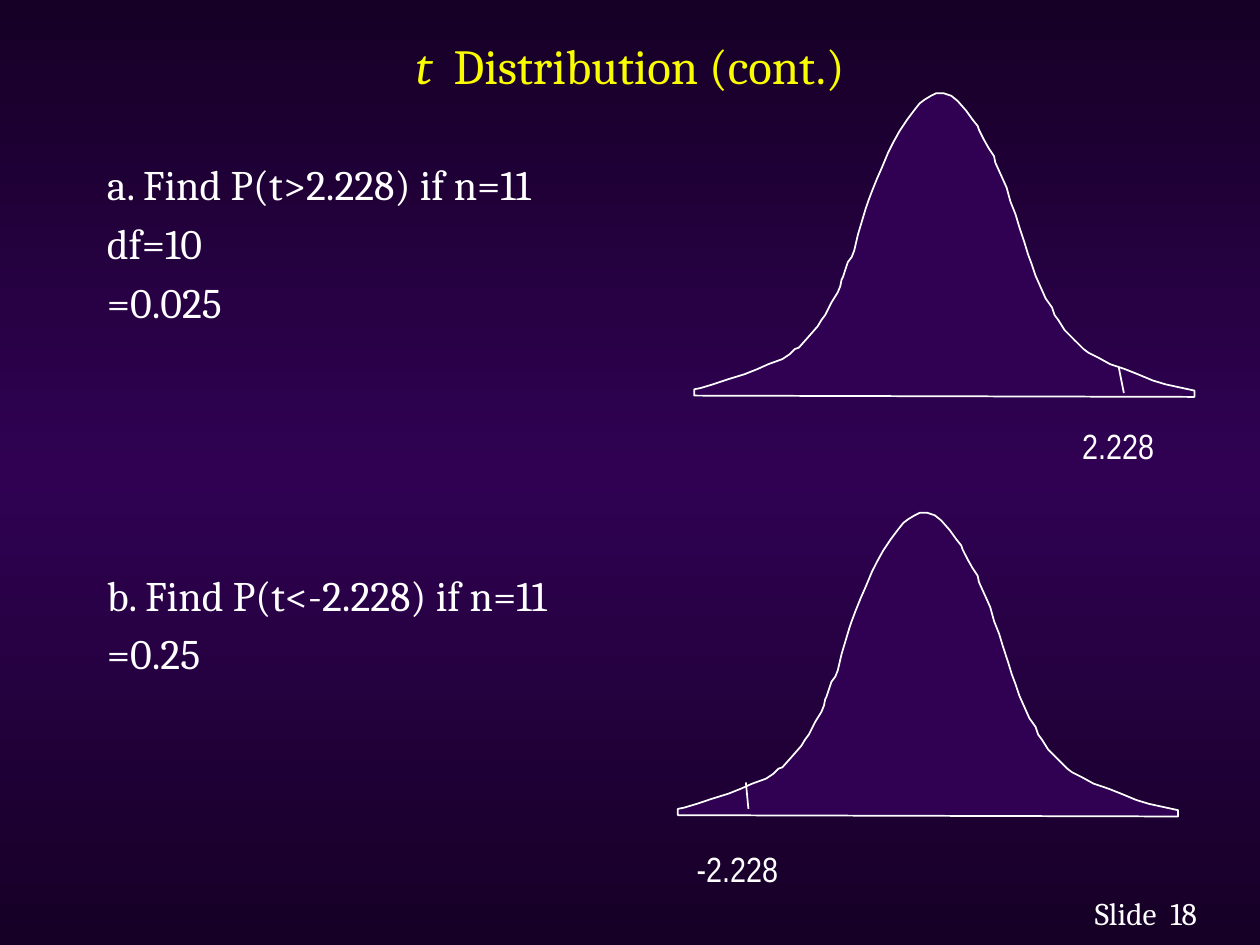
from copy import deepcopy

from lxml import etree
from pptx import Presentation
from pptx import util as u
from pptx.dml.color import RGBColor
from pptx.enum import shapes, text
from pptx.oxml.ns import qn

WHITE, YELLOW = "FFFFFF", "FAFD00"
DARK, PURPLE = "160026", "300153"

# Bell outline in inches, from the peak down the left tail and back up the right
BELL = [
    (7.49, 0.74), (7.43, 0.74), (7.39, 0.76), (7.34, 0.79), (7.3, 0.82),
    (7.26, 0.87), (7.2, 0.95), (7.14, 1.04), (7.09, 1.13), (7.05, 1.21),
    (7, 1.33), (6.96, 1.42), (6.92, 1.52), (6.89, 1.6), (6.87, 1.66),
    (6.84, 1.76), (6.81, 1.86), (6.78, 1.99), (6.76, 2.04), (6.73, 2.08),
    (6.69, 2.2), (6.68, 2.22), (6.67, 2.27), (6.65, 2.32), (6.6, 2.4),
    (6.55, 2.5), (6.52, 2.54), (6.49, 2.59), (6.42, 2.67), (6.34, 2.76),
    (6.31, 2.77), (6.27, 2.81), (6.21, 2.85), (6.1, 2.89), (6.01, 2.93),
    (5.91, 2.97), (5.78, 3.01), (5.66, 3.05), (5.56, 3.08), (5.51, 3.09),
    (5.51, 3.14), (9.48, 3.15), (9.48, 3.1), (9.34, 3.07), (9.25, 3.05),
    (9.15, 3.02), (9.03, 2.97), (8.93, 2.93), (8.81, 2.89), (8.72, 2.84),
    (8.64, 2.8), (8.6, 2.77), (8.53, 2.7), (8.45, 2.62), (8.4, 2.54),
    (8.37, 2.5), (8.35, 2.44), (8.3, 2.37), (8.26, 2.28), (8.22, 2.19),
    (8.19, 2.1), (8.16, 2.02), (8.13, 1.92), (8.09, 1.8), (8.06, 1.7),
    (8.02, 1.6), (7.99, 1.49), (7.95, 1.4), (7.9, 1.29), (7.89, 1.24),
    (7.85, 1.18), (7.81, 1.11), (7.77, 1.03), (7.76, 1), (7.72, 0.95),
    (7.67, 0.88), (7.6, 0.8), (7.55, 0.76), (7.52, 0.75),
]


def colour(value):
    return RGBColor.from_string(value)


def style(para, size, font="Cambria", fill=WHITE):
    para.font.size = u.Pt(size)
    para.font.name = font
    para.font.color.rgb = colour(fill)


def set_background(slide):
    fill = slide.background.fill
    fill.gradient()
    fill.gradient_angle = 270
    stop_list = slide.element.find(".//" + qn("a:gsLst"))
    stop_list.append(deepcopy(stop_list[0]))
    stops = zip(fill.gradient_stops, (0, 0.5, 1), (DARK, PURPLE, DARK))
    for stop, position, value in stops:
        stop.position = position
        stop.color.rgb = colour(value)


def set_title(slide):
    title = slide.shapes.title
    title.left, title.top = u.Inches(0.75), u.Inches(0.07)
    title.width, title.height = u.Inches(8.5), u.Inches(0.89)
    title.text_frame.vertical_anchor = text.MSO_ANCHOR.MIDDLE
    para = title.text_frame.paragraphs[0]
    para.alignment = text.PP_ALIGN.CENTER
    symbol = para.add_run()
    symbol.text = "t"
    symbol.font.italic = True
    para.add_run().text = "  Distribution (cont.)"
    style(para, 28, fill=YELLOW)


def add_text(slide, left, top, width, height, lines, size,
             font="Cambria", wrap=False):
    """Add a text box; each line is its wording and the space before it."""
    box = slide.shapes.add_textbox(*map(u.Inches, (left, top, width, height)))
    frame = box.text_frame
    frame.word_wrap = wrap
    for index, (wording, space) in enumerate(lines):
        para = frame.add_paragraph() if index else frame.paragraphs[0]
        para.text = wording
        para.space_before = u.Pt(space)
        style(para, size, font)


def add_bell(slide, dx=0, dy=0):
    points = [(u.Inches(x + dx), u.Inches(y + dy)) for x, y in BELL]
    builder = slide.shapes.build_freeform(*points[0])
    builder.add_line_segments(points[1:], close=True)
    bell = builder.convert_to_shape()
    bell.shadow.inherit = False
    bell.fill.solid()
    bell.fill.fore_color.rgb = colour(PURPLE)
    bell.line.color.rgb = colour(WHITE)
    bell.line.width = u.Pt(1)


def add_tick(slide, *ends):
    tick = slide.shapes.add_connector(
        shapes.MSO_CONNECTOR.STRAIGHT, *map(u.Inches, ends))
    tick.line.color.rgb = colour(WHITE)
    tick.line.width = u.Pt(1)
    etree.SubElement(tick.element.spPr, qn("a:effectLst"))


def main():
    deck = Presentation()
    deck.slide_width, deck.slide_height = u.Inches(10), u.Inches(7.5)
    slide = deck.slides.add_slide(deck.slide_layouts[5])
    set_background(slide)
    set_title(slide)

    # Both exercises, the second one level with the lower curve
    exercises = [
        ("a. Find P(t>2.228) if n=11", 0),
        ("df=10", 4.8),
        ("=0.025", 4.8),
        ("b. Find P(t<-2.228) if n=11", 138.6),
        ("=0.25", 4.8),
    ]
    add_text(slide, 0.75, 1.21, 4.5, 5.08, exercises, 24, wrap=True)

    # Curves with their critical values
    add_bell(slide)
    add_bell(slide, -0.13, 3.33)
    add_tick(slide, 8.88, 2.92, 8.92, 3.12)
    add_tick(slide, 5.92, 6.21, 5.94, 6.42)
    add_text(slide, 8.49, 3.32, 0.77, 0.43, [("2.228", 0)], 20, "Arial Narrow")
    add_text(slide, 5.43, 6.68, 0.85, 0.43, [("-2.228", 0)], 20, "Arial Narrow")

    # Slide number
    add_text(slide, 8.59, 7.05, 0.69, 0.4, [("Slide", 0)], 18)
    add_text(slide, 9.19, 7.05, 0.42, 0.4, [("18", 0)], 18)
    deck.save("out.pptx")


if __name__ == "__main__":
    main()
